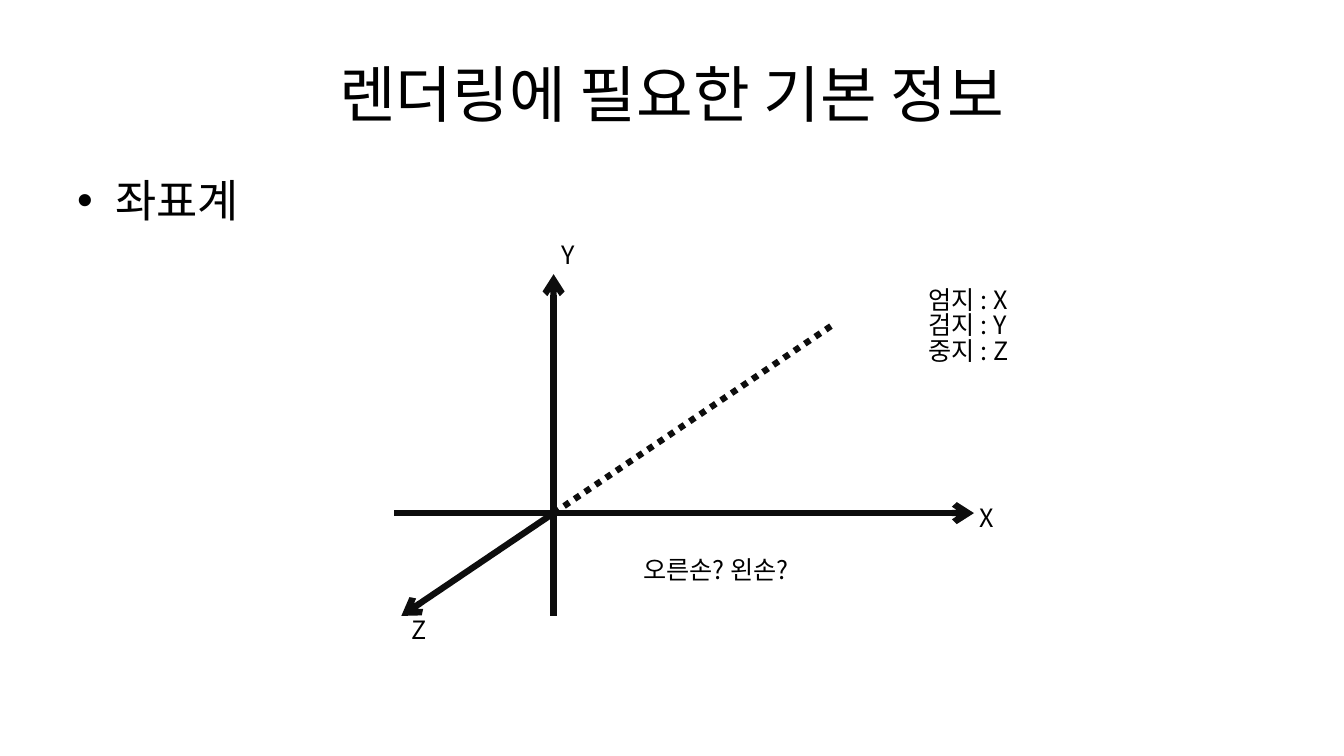
from dataclasses import dataclass

from lxml import etree
from pptx import Presentation
from pptx import util as u
from pptx.dml import color
from pptx.enum import dml, shapes, text
from pptx.oxml import ns

WIDTH = u.Inches(13.33)
HEIGHT = u.Inches(7.5)
GRID = 100
FONT = "Noto Sans CJK KR"
INK = "000000"
AXIS_COLOUR = "0D0D0D"
ORIGIN = (41.19, 67.87)


@dataclass(frozen=True)
class Line:
    start: tuple[float, float]
    end: tuple[float, float]
    dotted: bool = False


@dataclass(frozen=True)
class Label:
    wording: str
    column: float
    row: float
    columns: float = 3.23
    rows: float = 5.33
    size: float = 18
    bullet: bool = False


LINES = [
    Line((29.33, ORIGIN[1]), (72.47, ORIGIN[1])),
    Line((ORIGIN[0], 81.47), (ORIGIN[0], 36.27)),
    Line(ORIGIN, (61.89, 43.07), dotted=True),
    Line(ORIGIN, (29.86, 81.47)),
]

LABELS = [
    Label("좌표계", 5, 23.33, 90, 66, size=32, bullet=True),
    Label("X", 72.17, 66.4),
    Label("Z", 29.86, 81.2),
    Label("Y", 41.04, 31.6),
    Label("오른손? 왼손?", 47.11, 73.33, 15.38),
    Label("엄지 : X\n검지 : Y\n중지 : Z", 68.34, 37.6, 16.05, 13.47),
]


def across(columns: float) -> int:
    return round(WIDTH * columns / GRID)


def down(rows: float) -> int:
    return round(HEIGHT * rows / GRID)


def rgb(value: str) -> color.RGBColor:
    return color.RGBColor.from_string(value)


def add_xml(parent, tag: str, **attributes: str) -> None:
    etree.SubElement(parent, ns.qn(tag), attributes)


def write(frame, wording: str, *, size: float, align=text.PP_ALIGN.LEFT,
          anchor=text.MSO_ANCHOR.TOP, spacing: float = 1, bullet: bool = False) -> None:
    frame.text = wording
    frame.word_wrap = True
    frame.vertical_anchor = anchor
    for para in frame.paragraphs:
        para.alignment = align
        para.line_spacing = spacing
        if bullet:
            properties = para._p.get_or_add_pPr()
            properties.set("marL", str(u.Inches(0.38)))
            properties.set("indent", str(-u.Inches(0.38)))
            add_xml(properties, "a:buFont", typeface="Arial")
            add_xml(properties, "a:buChar", char="•")
        for span in para.runs:
            span.font.size = u.Pt(size)
            span.font.color.rgb = rgb(INK)
            span.font.name = FONT
            add_xml(span.font._element, "a:ea", typeface=FONT)


def draw_line(page, line: Line) -> None:
    connector = page.shapes.add_connector(
        shapes.MSO_CONNECTOR.STRAIGHT,
        across(line.start[0]), down(line.start[1]),
        across(line.end[0]), down(line.end[1]))
    connector.line.color.rgb = rgb(AXIS_COLOUR)
    connector.line.width = u.Pt(4.5)
    if line.dotted:
        connector.line.dash_style = dml.MSO_LINE.ROUND_DOT
    else:
        add_xml(connector.line._get_or_add_ln(), "a:tailEnd", type="arrow")
    add_xml(connector._element.spPr, "a:effectLst")


def draw_label(page, label: Label) -> None:
    box = page.shapes.add_textbox(across(label.column), down(label.row),
                                  across(label.columns), down(label.rows))
    write(box.text_frame, label.wording, size=label.size, spacing=0.84,
          bullet=label.bullet)


def main() -> None:
    deck = Presentation()
    deck.slide_width, deck.slide_height = WIDTH, HEIGHT
    page = deck.slides.add_slide(deck.slide_layouts.get_by_name("Title Only"))
    title = page.shapes.title
    title.left, title.top = across(5), down(4)
    title.width, title.height = across(90), down(16.67)
    write(title.text_frame, "렌더링에 필요한 기본 정보", size=44,
          align=text.PP_ALIGN.CENTER, anchor=text.MSO_ANCHOR.MIDDLE)
    for line in LINES:
        draw_line(page, line)
    for label in LABELS:
        draw_label(page, label)
    deck.save("out.pptx")


if __name__ == "__main__":
    main()
